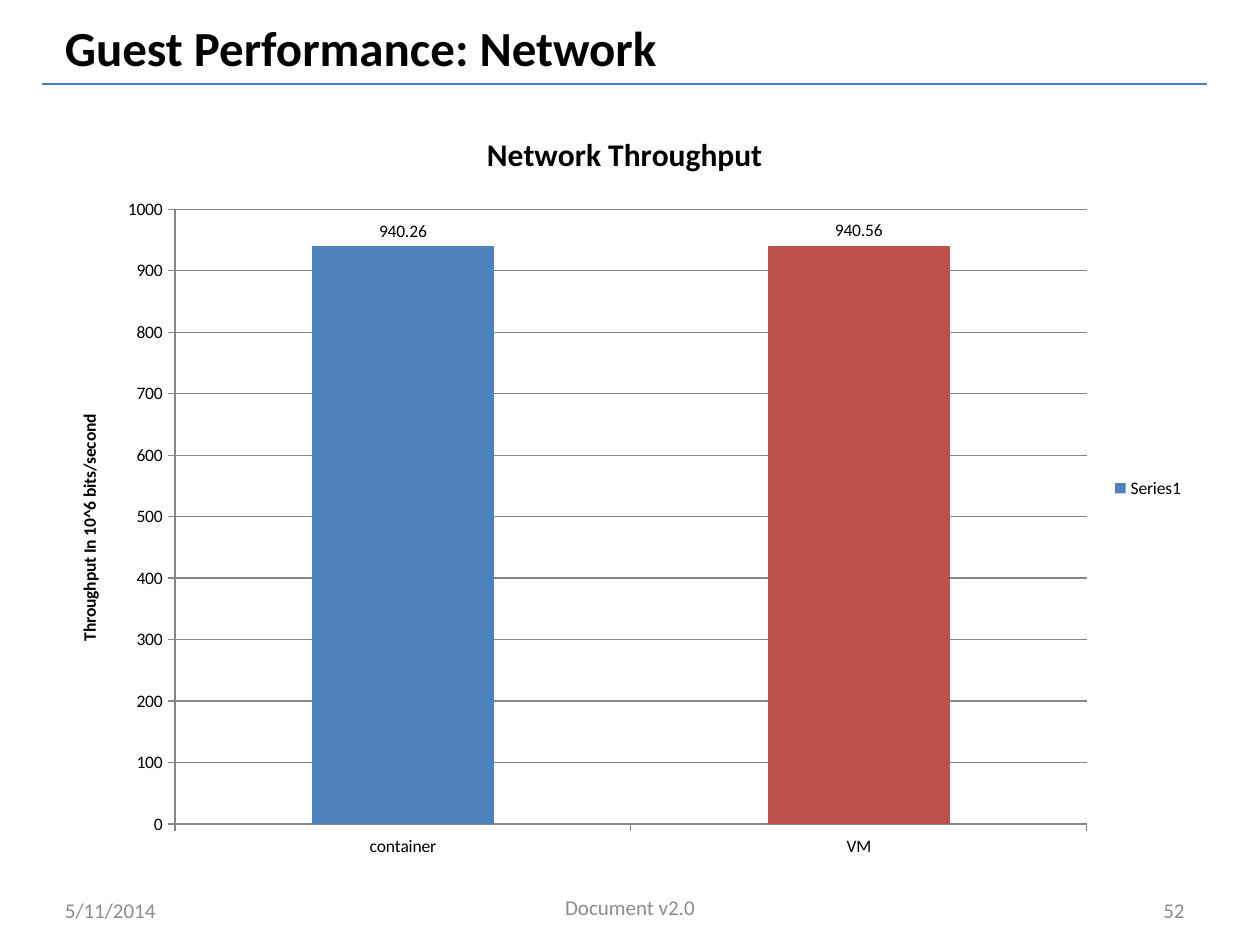
from pptx import Presentation
from pptx.chart.data import CategoryChartData
from pptx.dml.color import RGBColor
from pptx.enum.chart import XL_CHART_TYPE as Kind, XL_LABEL_POSITION as Spot
from pptx.enum.chart import XL_LEGEND_POSITION as Side, XL_TICK_MARK as Tick
from pptx.enum.shapes import MSO_CONNECTOR as Link
from pptx.enum.text import MSO_ANCHOR as Anchor, PP_ALIGN as Align
from pptx.oxml.ns import qn
from pptx.util import Pt

BLACK = RGBColor(0x00, 0x00, 0x00)
GRAY = RGBColor(0x8C, 0x8C, 0x8C)
RULE = RGBColor(0x4B, 0x7E, 0xBC)
BLUE = RGBColor(0x4F, 0x81, 0xBD)
RED = RGBColor(0xC0, 0x50, 0x4D)
GRID = RGBColor(0x86, 0x86, 0x86)
FACE = "Calibri"


def style(font, size, color, bold=False):
    form = {"name": FACE, "size": Pt(size), "bold": bold}
    for key, value in form.items():
        setattr(font, key, value)
    font.color.rgb = color


deck = Presentation()
deck.slide_width, deck.slide_height = Pt(720), Pt(540)
slide = deck.slides.add_slide(deck.slide_layouts[6])
shapes = slide.shapes

rule = shapes.add_connector(Link.STRAIGHT, Pt(24), Pt(48), Pt(690), Pt(48))
rule.line.color.rgb = RULE
rule.line.width = Pt(0.75)
props = rule._element.spPr
props.append(props.makeelement(qn("a:effectLst"), {}))

texts = [
    ("Guest Performance: Network", 30, 6, 606, 42, Align.LEFT, 28, BLACK, True),
    ("5/11/2014", 30, 505.5, 168, 28.75, Align.LEFT, 12, GRAY, False),
    ("Document v2.0", 246, 504, 228, 28.75, Align.CENTER, 12, GRAY, False),
    ("52", 516, 505.5, 168, 28.75, Align.RIGHT, 12, GRAY, False),
]
for text, left, top, width, height, align, size, color, bold in texts:
    box = shapes.add_textbox(Pt(left), Pt(top), Pt(width), Pt(height))
    frame = box.text_frame
    for key, value in {"word_wrap": True, "vertical_anchor": Anchor.MIDDLE}.items():
        setattr(frame, key, value)
    line = frame.paragraphs[0]
    line.alignment = align
    run = line.add_run()
    run.text = text
    style(run.font, size, color, bold)

data = CategoryChartData()
data.categories = ["container", "VM"]
data.add_series("Series1", [940.26, 940.56])
chart = shapes.add_chart(
    Kind.COLUMN_CLUSTERED, Pt(30), Pt(60), Pt(654), Pt(438), data
).chart
style(chart.font, 10, BLACK)

chart.has_title = True
chart.value_axis.has_title = True
heads = [
    (chart.chart_title, "Network Throughput", 18),
    (chart.value_axis.axis_title, "Throughput In 10^6 bits/second", 10),
]
for head, text, size in heads:
    run = head.text_frame.paragraphs[0].add_run()
    run.text = text
    style(run.font, size, BLACK, True)

chart.has_legend = True
for key, value in {"position": Side.RIGHT, "include_in_layout": False}.items():
    setattr(chart.legend, key, value)

scale = {"minimum_scale": 0, "maximum_scale": 1000, "major_unit": 100,
         "has_major_gridlines": True}
for key, value in scale.items():
    setattr(chart.value_axis, key, value)
for axis in (chart.category_axis, chart.value_axis):
    axis.major_tick_mark = Tick.OUTSIDE
    axis.format.line.color.rgb = GRID
chart.value_axis.major_gridlines.format.line.color.rgb = GRID

plot = chart.plots[0]
for key, value in {"gap_width": 150, "vary_by_categories": False}.items():
    setattr(plot, key, value)
series = plot.series[0]
for part, color in ((series, BLUE), (series.points[1], RED)):
    part.format.fill.solid()
    part.format.fill.fore_color.rgb = color
labels = series.data_labels
for key, value in {"show_value": True, "position": Spot.OUTSIDE_END}.items():
    setattr(labels, key, value)
style(labels.font, 10, BLACK)

deck.save("out.pptx")
